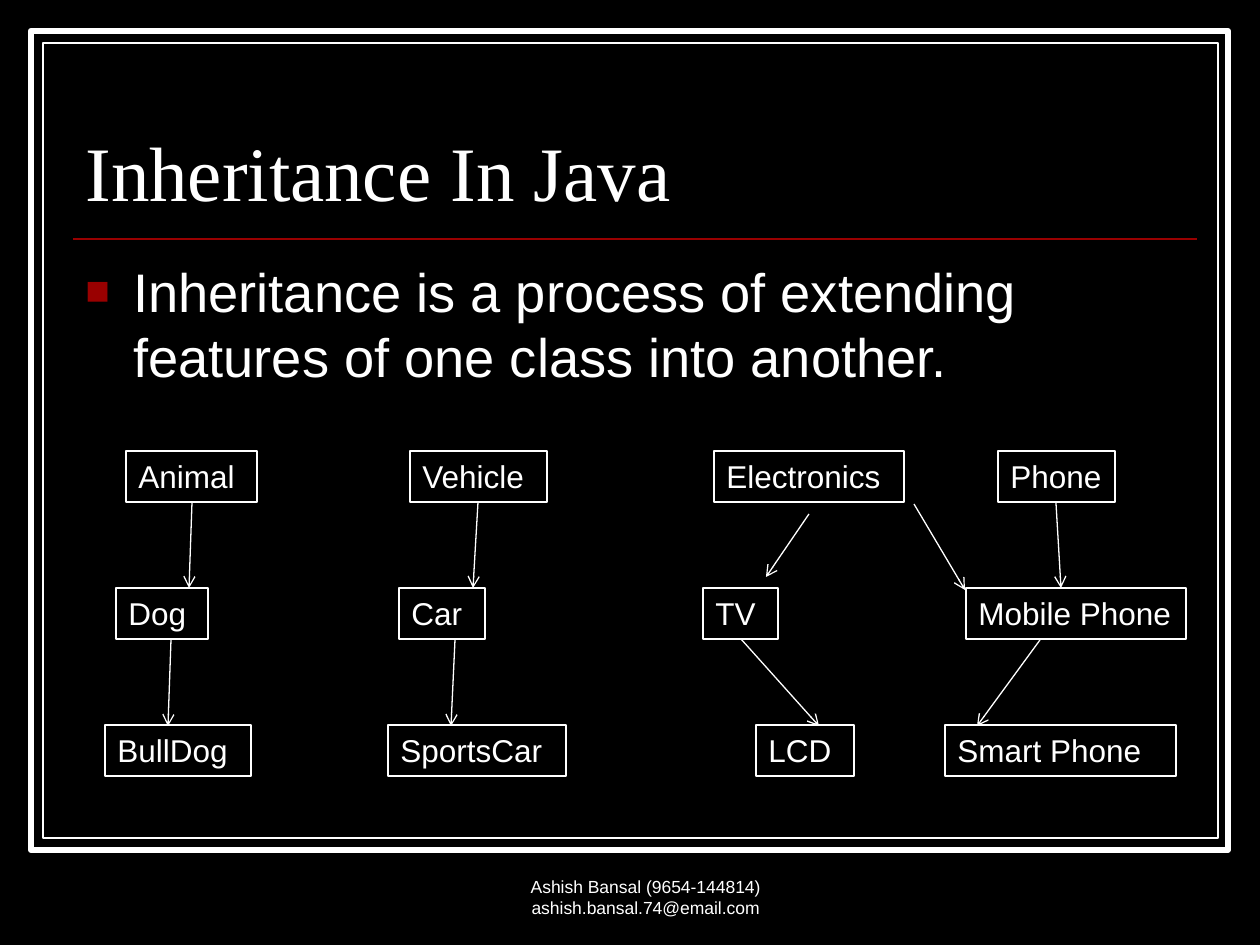
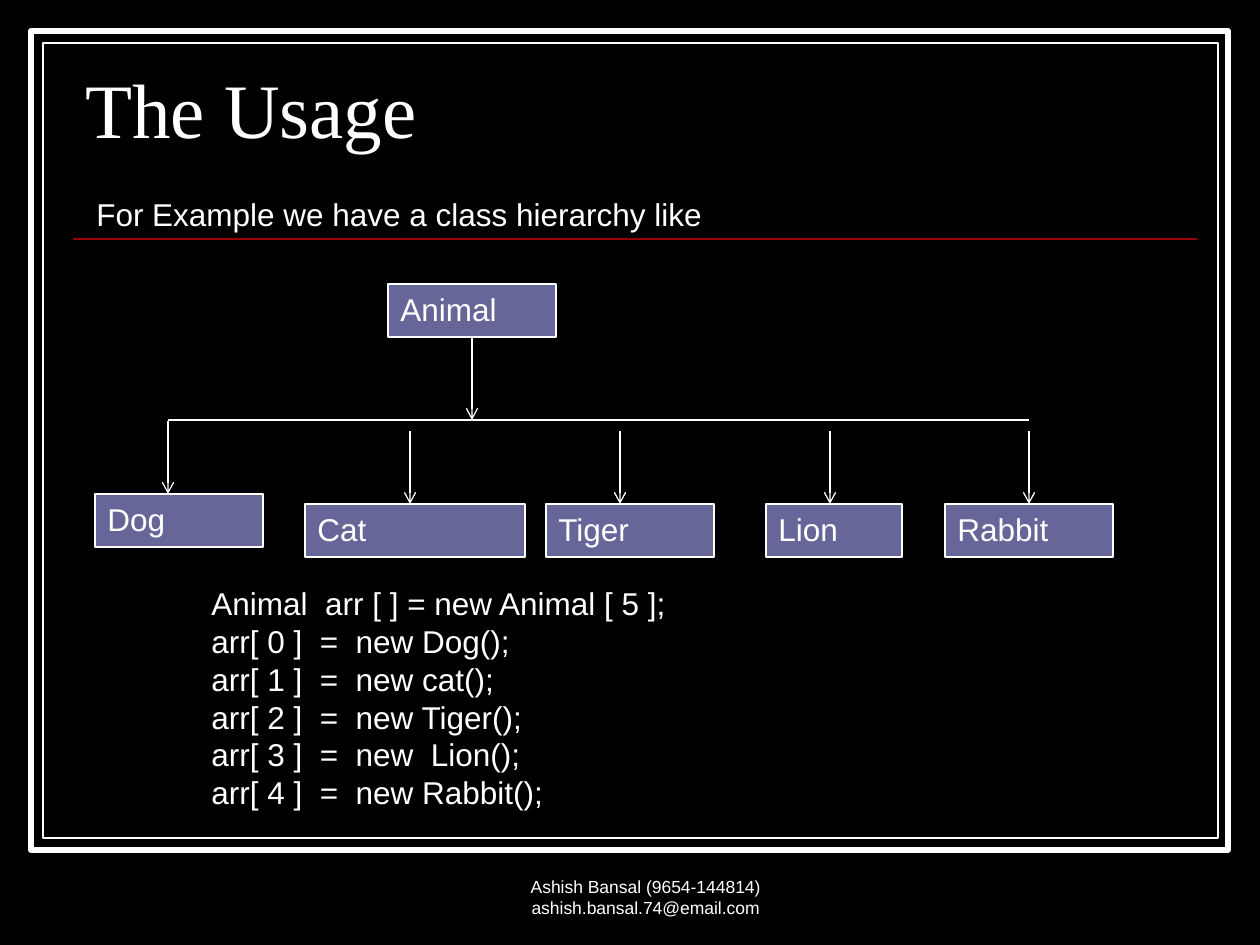
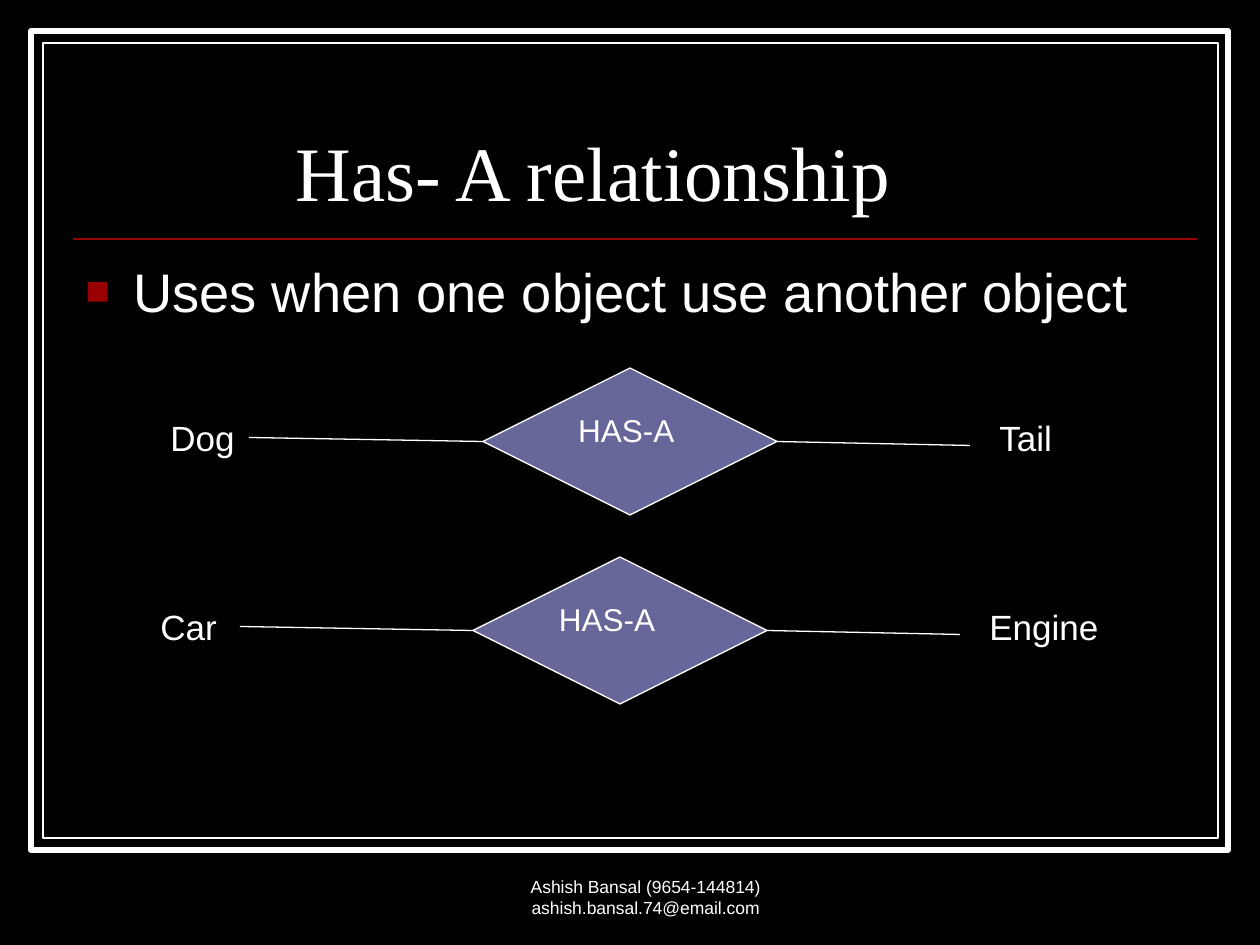
from pptx import Presentation
from pptx.dml.color import RGBColor
from pptx.enum.shapes import MSO_CONNECTOR, MSO_SHAPE
from pptx.enum.text import MSO_ANCHOR as ANCHOR, PP_ALIGN as ALIGN
from pptx.oxml.ns import qn
from pptx.util import Pt
from lxml.etree import SubElement

# Shared look
SCALE = 914400 / 126
BLACK, WHITE, RED, VIOLET = "000000", "FFFFFF", "990000", "666699"
SANS, SERIF = "Arial", "Times New Roman"
FRAMES = [((31, 31, 1197, 819), 3.5), ((43, 43, 1175, 795), 0.75)]
RULE = (73, 239, 1197, 239)
TITLE_BOX = (73, 66, 1124, 157)
FOOTER = "Ashish Bansal (9654-144814) ashish.bansal.74@email.com"
FOOTER_BOX = (446, 861, 399, 63)
INSET = 12.6

# Slide 1: classes as (row, left, width, name), arrows as x1, y1, x2, y2
INHERITANCE = "Inheritance is a process of extending features of one class into another."
CLASS_TOP, CLASS_STEP, CLASS_HEIGHT = 451, 137, 51
CLASSES = [
    (0, 126, 131, "Animal"), (1, 116, 92, "Dog"), (2, 105, 146, "BullDog"),
    (0, 410, 137, "Vehicle"), (1, 399, 86, "Car"), (2, 388, 178, "SportsCar"),
    (0, 714, 190, "Electronics"), (1, 703, 75, "TV"), (2, 756, 98, "LCD"),
    (0, 998, 117, "Phone"), (1, 966, 220, "Mobile Phone"), (2, 945, 231, "Smart Phone"),
]
CLASS_ARROWS = [
    (192, 503, 189, 588), (171, 640, 168, 726),
    (478, 503, 473, 588), (455, 640, 451, 726),
    (809, 514, 766, 577), (741, 639, 819, 726),
    (914, 504, 965, 590), (1040, 640, 977, 726), (1056, 503, 1061, 588),
]

# Slide 2: subclasses as (left, top, width, name, arrow x)
PARENT = (388, 284, 168, 53)
BUS_Y = 420
SUBCLASSES = [
    (95, 494, 168, "Dog", 168), (305, 504, 220, "Cat", 410),
    (546, 504, 168, "Tiger", 620), (766, 504, 136, "Lion", 830),
    (945, 504, 168, "Rabbit", 1029),
]
ARROW_LENGTH = 73
CODE = [
    "Animal  arr [ ] = new Animal [ 5 ];",
    "arr[ 0 ]  =  new Dog();",
    "arr[ 1 ]  =  new cat();",
    "arr[ 2 ]  =  new Tiger();",
    "arr[ 3 ]  =  new  Lion();",
    "arr[ 4 ]  =  new Rabbit();",
]

# Slide 3: owner, owner width, part, part width, left shift, text indent
RELATIONS = [("Dog", 91, "Tail", 78, 0, 9), ("Car", 92, "Engine", 136, -10, 0)]
RELATION_STEP = 189
DIAMOND = (483, 368, 294, 147)

prs = Presentation()
prs.slide_width, prs.slide_height = round(1260 * SCALE), round(945 * SCALE)


def px(*lengths):
    return [round(length * SCALE) for length in lengths]


def color(hex_string):
    return RGBColor.from_string(hex_string)


def write(shape, lines, size=18, font=SANS, align=ALIGN.LEFT, anchor=ANCHOR.TOP,
          indent=0, right=INSET):
    frame = shape.text_frame
    frame.text = "\n".join(lines)
    frame.word_wrap = True
    frame.vertical_anchor = anchor
    frame.margin_left, frame.margin_right = px(INSET + indent, right)
    for paragraph in frame.paragraphs:
        paragraph.alignment = align
        for run in paragraph.runs:
            run.font.size, run.font.name = Pt(size), font
            run.font.color.rgb = color(WHITE)
    return frame.paragraphs[0]


def text_box(slide, box, lines, **style):
    return write(slide.shapes.add_textbox(*px(*box)), lines, **style)


def panel(slide, box, fill=None, weight=0.75, kind=MSO_SHAPE.RECTANGLE):
    shape = slide.shapes.add_shape(kind, *px(*box))
    shape.shadow.inherit = False
    if fill:
        shape.fill.solid()
        shape.fill.fore_color.rgb = color(fill)
    else:
        shape.fill.background()
    shape.line.color.rgb = color(WHITE)
    shape.line.width = Pt(weight)
    return shape


def connect(slide, ends, arrow=False, stroke=WHITE, weight=0.75):
    link = slide.shapes.add_connector(MSO_CONNECTOR.STRAIGHT, *px(*ends))
    link.line.color.rgb = color(stroke)
    link.line.width = Pt(weight)
    if arrow:
        SubElement(link.line._get_or_add_ln(), qn("a:tailEnd"), type="arrow")
    SubElement(link._element.spPr, qn("a:effectLst"))


def bullet(slide, box, sentence):
    paragraph = text_box(slide, box, [sentence], size=31)
    props = paragraph._p.get_or_add_pPr()
    hang = px(48)[0]
    props.set("marL", str(hang))
    props.set("indent", str(-hang))
    SubElement(SubElement(props, qn("a:spcBef")), qn("a:spcPct"), val="20000")
    SubElement(SubElement(props, qn("a:buClr")), qn("a:srgbClr"), val=RED)
    SubElement(props, qn("a:buSzPct"), val="75000")
    SubElement(props, qn("a:buFont"), typeface=SANS)
    SubElement(props, qn("a:buChar"), char="■")


def new_slide(title, box=TITLE_BOX, indent=0):
    slide = prs.slides.add_slide(prs.slide_layouts[6])
    slide.background.fill.solid()
    slide.background.fill.fore_color.rgb = color(BLACK)
    for frame_box, weight in FRAMES:
        panel(slide, frame_box, BLACK, weight)
    connect(slide, RULE, stroke=RED, weight=1)
    heading = text_box(slide, box, [title], size=44, font=SERIF,
                       anchor=ANCHOR.BOTTOM, indent=indent)
    heading.line_spacing = 0.8
    text_box(slide, FOOTER_BOX, [FOOTER], size=10, align=ALIGN.CENTER,
             anchor=ANCHOR.BOTTOM)
    return slide


# Slide 1: class trees
slide = new_slide("Inheritance In Java")
bullet(slide, (73, 252, 1124, 136), INHERITANCE)
for row, left, width, name in CLASSES:
    box = (left, CLASS_TOP + row * CLASS_STEP, width, CLASS_HEIGHT)
    write(panel(slide, box), [name], right=0)
for ends in CLASS_ARROWS:
    connect(slide, ends, arrow=True)

# Slide 2: one parent, five subclasses and the code
slide = new_slide("The Usage", (73, 63, 1124, 97))
text_box(slide, (84, 189, 645, 51), ["For Example we have a class hierarchy like"])
write(panel(slide, PARENT, VIOLET), ["Animal"])
parent_x = PARENT[0] + PARENT[2] / 2
connect(slide, (parent_x, PARENT[1] + PARENT[3], parent_x, BUS_Y), arrow=True)
connect(slide, (SUBCLASSES[0][4], BUS_Y, SUBCLASSES[-1][4], BUS_Y))
for left, top, width, name, arrow_x in SUBCLASSES:
    connect(slide, (arrow_x, 494 - ARROW_LENGTH if top == 494 else top - ARROW_LENGTH,
                    arrow_x, top), arrow=True)
    write(panel(slide, (left, top, width, PARENT[3]), VIOLET), [name])
text_box(slide, (199, 578, 484, 318), CODE)

# Slide 3: owner, diamond and part in each row
slide = new_slide("Has- A relationship", indent=210)
bullet(slide, (73, 252, 1103, 84), "Uses when one object use another object")
for row, (owner, owner_width, part, part_width, shift, indent) in enumerate(RELATIONS):
    left, top, width, height = DIAMOND
    left, top = left + shift, top + row * RELATION_STEP
    middle, right = top + height / 2, left + width
    owner_left, label_top = 158 + shift, top + 42
    text_box(slide, (owner_left, label_top, owner_width, 55), [owner], size=20, right=0)
    text_box(slide, (right + 210, label_top, part_width, 55), [part], size=20, right=0)
    diamond = panel(slide, (left, top, width, height), VIOLET,
                    kind=MSO_SHAPE.FLOWCHART_DECISION)
    write(diamond, ["HAS-A"], indent=indent, right=0)
    connect(slide, (owner_left + owner_width, middle - 4, left, middle))
    connect(slide, (right, middle, right + 193, middle + 4))

prs.save("out.pptx")
